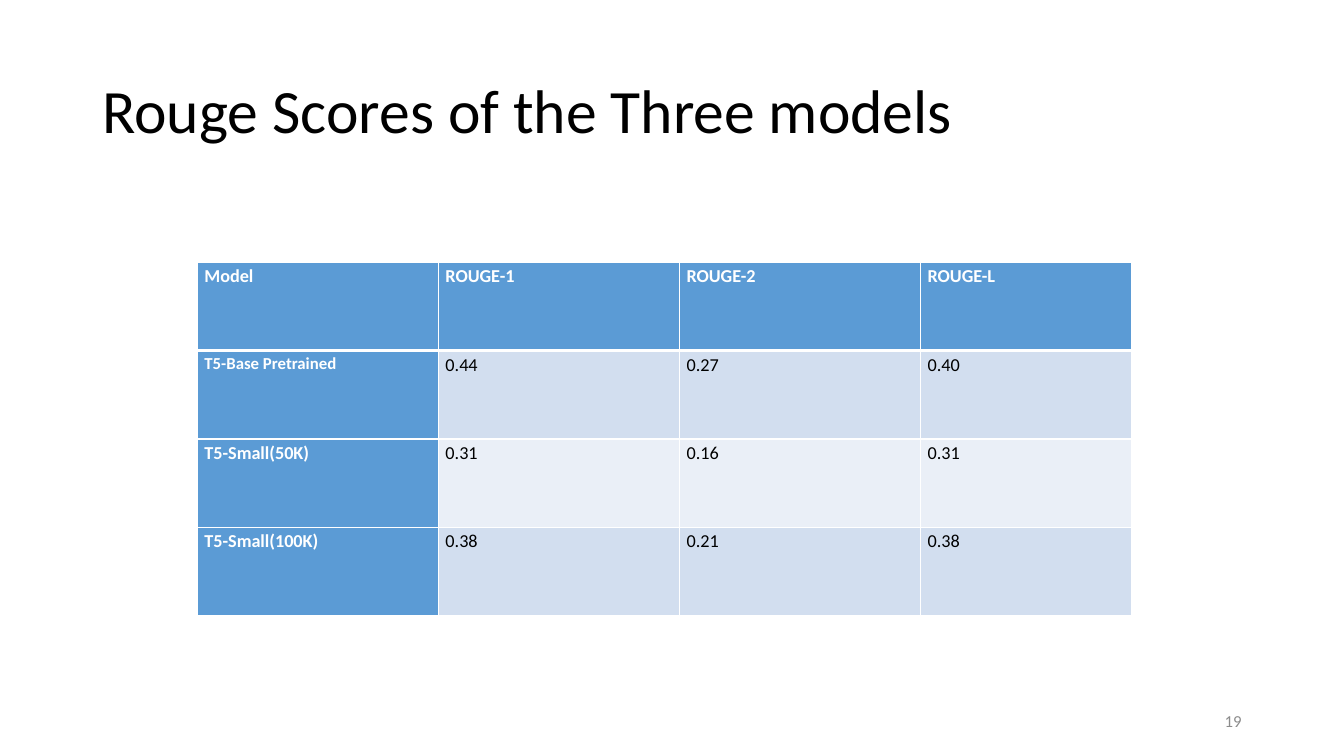
from lxml.etree import SubElement
from pptx import Presentation
from pptx.dml.color import RGBColor
from pptx.enum.text import MSO_ANCHOR as Anchor, PP_ALIGN as Align
from pptx.oxml.ns import qn
from pptx.util import Inches, Pt

WHITE = RGBColor(0xFF, 0xFF, 0xFF)
BLACK = RGBColor(0x00, 0x00, 0x00)
GRAY = RGBColor(0x8C, 0x8C, 0x8C)
BLUE = RGBColor(0x5B, 0x9B, 0xD5)
BANDS = RGBColor(0xD2, 0xDE, 0xEF), RGBColor(0xEA, 0xEF, 0xF7)

SCORES = [
    ["Model", "ROUGE-1", "ROUGE-2", "ROUGE-L"],
    ["T5-Base Pretrained", "0.44", "0.27", "0.40"],
    ["T5-Small(50K)", "0.31", "0.16", "0.31"],
    ["T5-Small(100K)", "0.38", "0.21", "0.38"],
]


class Deck:
    COLUMNS, ROWS = 160, 90
    FONT = "Calibri"

    def __init__(self):
        self.prs = Presentation()
        self.prs.slide_width = Inches(13.33)
        self.prs.slide_height = Inches(7.5)
        self.slide = self.prs.slides.add_slide(self.prs.slide_layouts[6])

    def x(self, columns):
        return round(self.prs.slide_width * columns / self.COLUMNS)

    def y(self, rows):
        return round(self.prs.slide_height * rows / self.ROWS)

    def box(self, left, top, width, height):
        return self.x(left), self.y(top), self.x(width), self.y(height)

    def paragraph(self, tf, text, size, color, align, bold=False):
        p = tf.paragraphs[0]
        p.text = text
        p.alignment = align
        font = p.runs[0].font
        font.name, font.size, font.bold = self.FONT, Pt(size), bold
        font.color.rgb = color
        return p

    def text(self, box, text, size, color, align=Align.LEFT):
        tf = self.slide.shapes.add_textbox(*self.box(*box)).text_frame
        tf.word_wrap = True
        tf.vertical_anchor = Anchor.MIDDLE
        return self.paragraph(tf, text, size, color, align)

    def borders(self, cell, **widths):
        tcPr = cell._tc.get_or_add_tcPr()
        for side in "LRTB":
            ln = SubElement(tcPr, qn(f"a:ln{side}"), w=str(Pt(widths.get(side, 1))))
            fill = SubElement(ln, qn("a:solidFill"))
            SubElement(fill, qn("a:srgbClr"), val=str(WHITE))

    def cell(self, cell, text, row, col):
        heading = row == 0 or col == 0
        cell.margin_left = cell.margin_right = Inches(0.07)
        cell.margin_top = cell.margin_bottom = 0
        self.borders(cell, T=3 if row == 1 else 1, B=3 if row == 0 else 1)
        cell.fill.solid()
        cell.fill.fore_color.rgb = BLUE if heading else BANDS[(row - 1) % 2]
        size = 12 if (row, col) == (1, 0) else 13
        color = WHITE if heading else BLACK
        p = self.paragraph(cell.text_frame, text, size, color, Align.JUSTIFY, heading)
        p.line_spacing = 1.15
        p.space_after = Pt(8)

    def table(self, left, top, widths, row_height, data):
        box = self.box(left, top, sum(widths), row_height * len(data))
        table = self.slide.shapes.add_table(len(data), len(widths), *box).table
        table.horz_banding = False
        for column, width in zip(table.columns, widths):
            column.width = self.x(width)
        for row, values in enumerate(data):
            table.rows[row].height = self.y(row_height)
            for col, value in enumerate(values):
                self.cell(table.cell(row, col), value, row, col)


def main():
    deck = Deck()
    title = deck.text((11, 4.8, 138, 17.4), "Rouge Scores of the Three models", 44, BLACK)
    title.line_spacing = 0.9
    deck.table(23.5, 31.2, [28.7] * 3 + [25.1], 10.53, SCORES)
    deck.text((113, 83.4, 36, 4.8), "19", 12, GRAY, Align.RIGHT)
    deck.prs.save("out.pptx")


if __name__ == "__main__":
    main()
